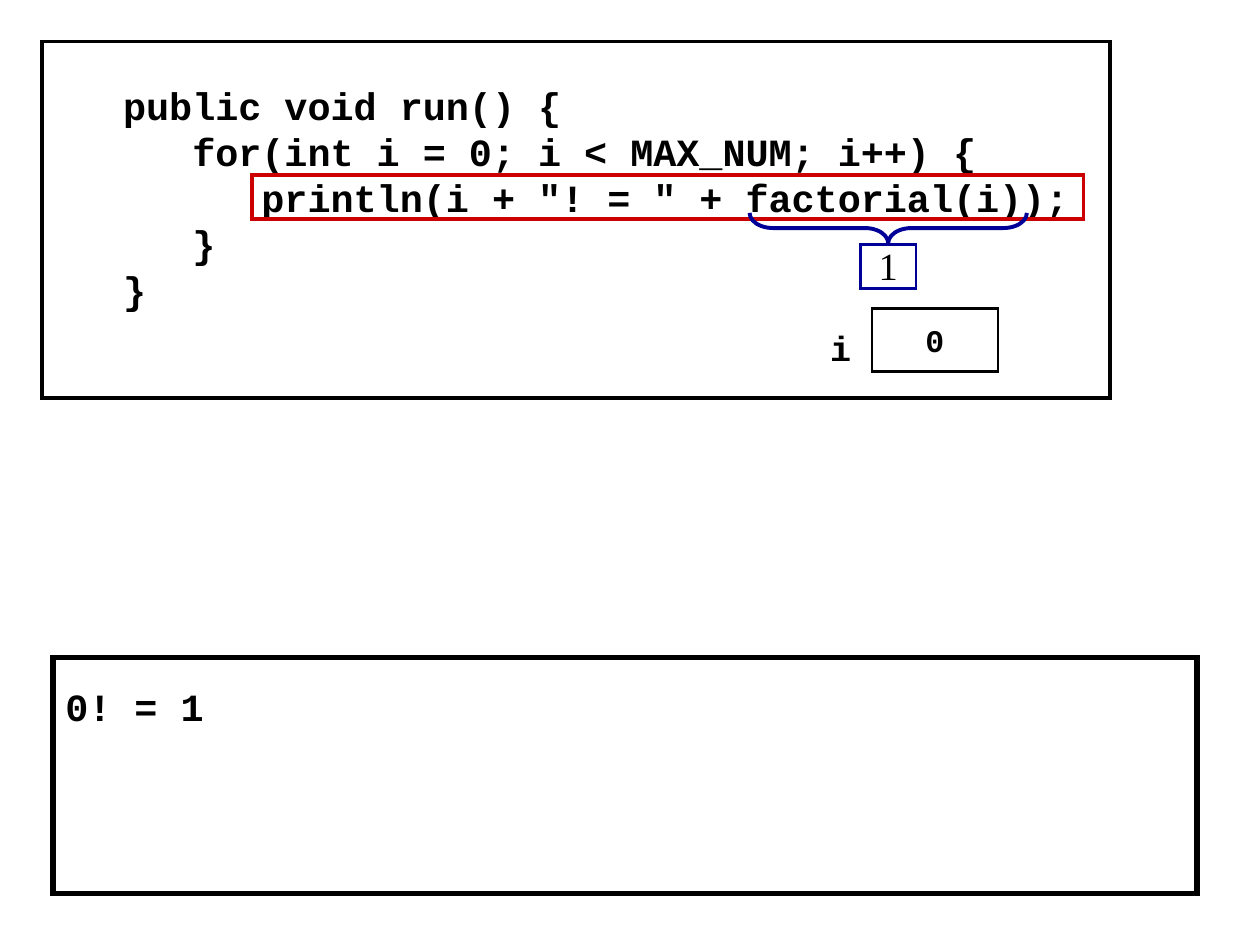
from dataclasses import dataclass

from lxml.etree import SubElement
from pptx import Presentation
from pptx.dml.color import RGBColor
from pptx.enum.shapes import MSO_SHAPE
from pptx.enum.text import MSO_ANCHOR, PP_ALIGN
from pptx.oxml.ns import qn
from pptx.util import Inches, Pt

HUES = {"ink": "010000", "paper": "FFFFFF", "red": "CC0000", "blue": "000099"}
MONO = "Courier New"
SERIF = "Times New Roman"
CODE = '''   public void run() {
      for(int i = 0; i < MAX_NUM; i++) {
         println(i + "! = " + factorial(i));
      }
   }'''


@dataclass
class Text:
    words: str
    size: int = 22
    face: str = MONO
    bold: bool = True
    align: PP_ALIGN = PP_ALIGN.CENTER
    anchor: MSO_ANCHOR = MSO_ANCHOR.MIDDLE
    top: float = 0.05
    pitch: float | None = None


@dataclass
class Box:
    left: float
    top: float
    width: float
    height: float
    line: str = "ink"
    weight: float = 2.25
    fill: str | None = None
    text: Text | None = None


def tint(name: str) -> RGBColor:
    return RGBColor.from_string(HUES[name])


def write(frame, text: Text) -> None:
    frame.word_wrap = True
    frame.vertical_anchor = text.anchor
    frame.margin_top = Inches(text.top)
    for at, words in enumerate(text.words.split("\n")):
        para = frame.add_paragraph() if at else frame.paragraphs[0]
        para.add_run().text = words
        para.alignment = text.align
        if text.pitch:
            para.line_spacing = Pt(text.pitch)
        font = para.font
        font.size = Pt(text.size)
        font.name = text.face
        font.bold = text.bold
        font.color.rgb = tint("ink")


def draw(slide, box: Box, kind=MSO_SHAPE.RECTANGLE):
    shape = slide.shapes.add_shape(
        kind, Inches(box.left), Inches(box.top), Inches(box.width), Inches(box.height))
    shape.shadow.inherit = False
    if box.fill:
        shape.fill.solid()
        shape.fill.fore_color.rgb = tint(box.fill)
    else:
        shape.fill.background()
    shape.line.color.rgb = tint(box.line)
    shape.line.width = Pt(box.weight)
    edge = shape.element.spPr.find(qn("a:ln"))
    SubElement(edge, qn("a:miter"), lim="800000")
    if box.text:
        write(shape.text_frame, box.text)
    return shape


def block(words: str, top: float) -> Text:
    return Text(words, align=PP_ALIGN.LEFT, anchor=MSO_ANCHOR.TOP, top=top, pitch=26.3)


def main() -> None:
    deck = Presentation()
    deck.slide_width, deck.slide_height = Inches(10), Inches(7.5)
    slide = deck.slides.add_slide(deck.slide_layouts[6])

    draw(slide, Box(0.33, 0.33, 8.48, 2.83, fill="paper", text=block(CODE, 0.32)))
    draw(slide, Box(6.92, 2.45, 1, 0.5, weight=1.5, fill="paper", text=Text("0", 18)))

    label = slide.shapes.add_textbox(Inches(6.49), Inches(2.53), Inches(0.5), Inches(0.43))
    write(label.text_frame, Text(
        "i", 20, align=PP_ALIGN.LEFT, anchor=MSO_ANCHOR.TOP, top=0.06))

    draw(slide, Box(2, 1.39, 6.6, 0.35, "red"))
    brace = draw(slide, Box(6.93, 0.71, 0.24, 2.2, "blue"), MSO_SHAPE.LEFT_BRACE)
    brace.rotation = 270
    brace.adjustments[0] = 0.77
    brace.adjustments[1] = 0.5
    draw(slide, Box(6.83, 1.94, 0.44, 0.35, "blue", 1.5,
                    text=Text("1", face=SERIF, bold=False, top=0.02)))

    draw(slide, Box(0.42, 5.22, 9.08, 1.87, weight=3, text=block("0! = 1", 0.2)))
    deck.save("out.pptx")


if __name__ == "__main__":
    main()
